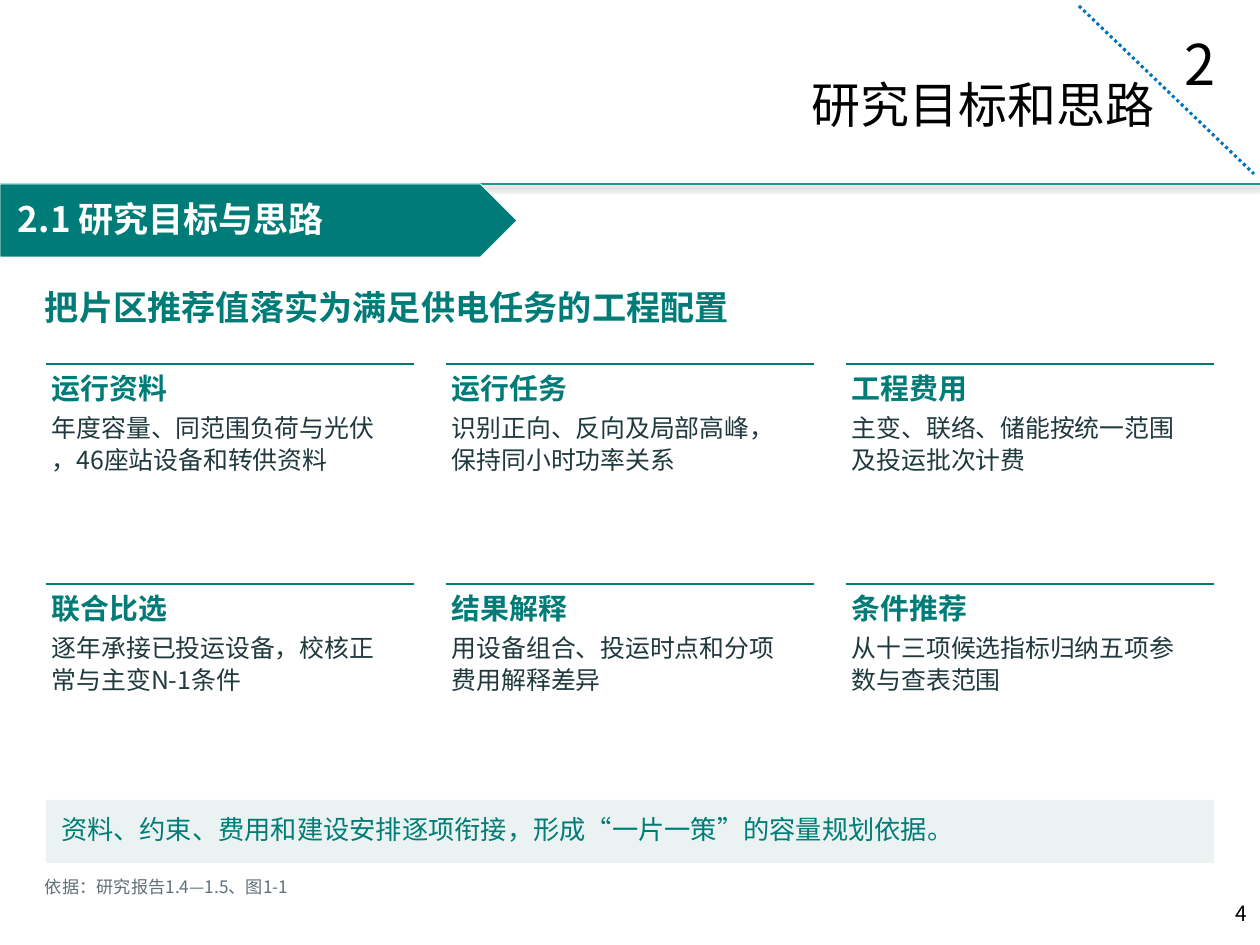
from dataclasses import dataclass

from lxml.etree import SubElement
from pptx import Presentation
from pptx.dml.color import RGBColor
from pptx.enum.dml import MSO_LINE
from pptx.enum.shapes import MSO_CONNECTOR, MSO_SHAPE
from pptx.enum.text import MSO_ANCHOR, MSO_AUTO_SIZE, PP_ALIGN
from pptx.oxml.ns import qn
from pptx.util import Pt

EMU_PER_PX = 914400 / 126


@dataclass(frozen=True)
class Theme:
    font: str = "Noto Sans CJK SC"
    black: str = "000000"
    white: str = "FFFFFF"
    teal: str = "007C78"
    rule: str = "1C9791"
    dots: str = "0072C0"
    body: str = "20393E"
    muted: str = "5E7077"
    band: str = "EAF3F1"
    number_size: float = 32
    title_size: float = 28
    section_size: float = 20
    headline_size: float = 19.5
    card_size: float = 16.5
    summary_size: float = 15
    body_size: float = 14.2
    page_size: float = 12
    source_size: float = 9.8


THEME = Theme()

CARDS = [
    ("运行资料", "年度容量、同范围负荷与光伏\n，46座站设备和转供资料"),
    ("运行任务", "识别正向、反向及局部高峰，\n保持同小时功率关系"),
    ("工程费用", "主变、联络、储能按统一范围\n及投运批次计费"),
    ("联合比选", "逐年承接已投运设备，校核正\n常与主变N-1条件"),
    ("结果解释", "用设备组合、投运时点和分项\n费用解释差异"),
    ("条件推荐", "从十三项候选指标归纳五项参\n数与查表范围"),
]


def px(n):
    return round(n * EMU_PER_PX)


def color(name):
    return RGBColor.from_string(name)


def write(sp, text, size, ink, bold=False, align=PP_ALIGN.LEFT,
          insets=(0, 0, 0, 0), grow=False, spacing=None):
    """Fill a shape with one unwrapped, top-anchored paragraph; insets are l, t, r, b."""
    tf = sp.text_frame
    tf.word_wrap = False
    tf.auto_size = MSO_AUTO_SIZE.SHAPE_TO_FIT_TEXT if grow else MSO_AUTO_SIZE.NONE
    tf.vertical_anchor = MSO_ANCHOR.TOP
    tf.margin_left, tf.margin_top, tf.margin_right, tf.margin_bottom = map(px, insets)
    p = tf.paragraphs[0]
    p.text = text
    p.alignment = align
    if spacing:
        p.line_spacing = Pt(spacing)
    p.font.size = Pt(size)
    p.font.bold = bold
    p.font.color.rgb = color(ink)
    p.font.name = THEME.font
    props = p._p.pPr.find(qn("a:defRPr"))
    SubElement(props, qn("a:ea"), typeface=THEME.font)


def add_text(slide, box, text, size, ink, **style):
    sp = slide.shapes.add_textbox(*map(px, box))
    write(sp, text, size, ink, **style)


def add_line(slide, start, end, ink, width):
    """Add a line without shadow; return it with its empty effect list."""
    line = slide.shapes.add_connector(MSO_CONNECTOR.STRAIGHT, *map(px, start + end))
    line.line.color.rgb = color(ink)
    line.line.width = Pt(width)
    effects = SubElement(line._element.spPr, qn("a:effectLst"))
    return line, effects


def add_block(slide, shape, box, fill):
    sp = slide.shapes.add_shape(shape, *map(px, box))
    sp.shadow.inherit = False
    sp.fill.solid()
    sp.fill.fore_color.rgb = color(fill)
    sp.line.fill.background()
    return sp


def add_header(slide, x, y, w, h):
    _, effects = add_line(slide, (x, y + h), (x + w, y + h), THEME.rule, 1.5)
    shadow = SubElement(effects, qn("a:outerShdw"), blurRad=str(Pt(3.1)),
                        dist=str(Pt(1.8)), dir="5400000", rotWithShape="0")
    ink = SubElement(shadow, qn("a:srgbClr"), val=THEME.black)
    SubElement(ink, qn("a:alpha"), val="35000")

    add_text(slide, (x + w - 89, y + 23, 43, 81), "2", THEME.number_size,
             THEME.black, insets=(13, 6, 0, 0))
    title = slide.shapes.title
    title.left, title.top, title.width, title.height = map(
        px, (x + w - 632, y + 68, 539, 72))
    write(title, "研究目标和思路", THEME.title_size, THEME.black,
          align=PP_ALIGN.RIGHT, insets=(0, 6, 13, 0))
    dots, _ = add_line(slide, (x + w - 181, y + 6), (x + w - 6, y + 174),
                       THEME.dots, 1.75)
    dots.line.dash_style = MSO_LINE.ROUND_DOT


def add_section(slide, x, y, w, h):
    tag = add_block(slide, MSO_SHAPE.PENTAGON, (x, y, w, h), THEME.teal)
    tag.line.color.rgb = color(THEME.white)
    tag.line.width = Pt(0.5)
    add_text(slide, (x + 5, y + 7, w - 39, h - 18), "2.1 研究目标与思路",
             THEME.section_size, THEME.white, bold=True, insets=(13, 6, 0, 0))


def add_card(slide, x, y, w, heading, text):
    add_line(slide, (x, y), (x + w, y), THEME.teal, 1.5)
    add_text(slide, (x + 6, y + 7, 125, 44), heading, THEME.card_size,
             THEME.teal, bold=True, grow=True)
    add_text(slide, (x + 6, y + 47, w - 43, 69), text, THEME.body_size,
             THEME.body, grow=True, spacing=18)


def add_cards(slide, x, y, w, columns=3, gap=32, row_step=220):
    card_w = (w - gap * (columns - 1)) // columns
    for i, (heading, text) in enumerate(CARDS):
        row, col = divmod(i, columns)
        add_card(slide, x + col * (card_w + gap), y + row * row_step,
                 card_w, heading, text)


def add_summary(slide, x, y, w, h):
    add_block(slide, MSO_SHAPE.RECTANGLE, (x, y, w, h), THEME.band)
    add_text(slide, (x + 15, y + 13, 924, 40),
             "资料、约束、费用和建设安排逐项衔接，形成“一片一策”的容量规划依据。",
             THEME.summary_size, THEME.teal, grow=True)


def add_footer(slide, x, y, w):
    add_text(slide, (x + 45, y, 265, 26), "依据：研究报告1.4—1.5、图1-1",
             THEME.source_size, THEME.muted, grow=True)
    add_text(slide, (x + w - 284, y + 19, 284, 50), "4", THEME.page_size,
             THEME.black, align=PP_ALIGN.RIGHT, insets=(0, 6, 13, 0))


def main():
    prs = Presentation()
    prs.slide_width, prs.slide_height = px(1260), px(945)
    slide = prs.slides.add_slide(prs.slide_layouts[5])
    add_header(slide, 0, 0, 1260, 184)
    add_section(slide, 0, 184, 517, 73)
    add_text(slide, (45, 286, 726, 53), "把片区推荐值落实为满足供电任务的工程配置",
             THEME.headline_size, THEME.teal, bold=True, grow=True)
    add_cards(slide, 46, 364, 1168)
    add_summary(slide, 46, 800, 1168, 63)
    add_footer(slide, 0, 876, 1260)
    prs.save("out.pptx")


if __name__ == "__main__":
    main()
